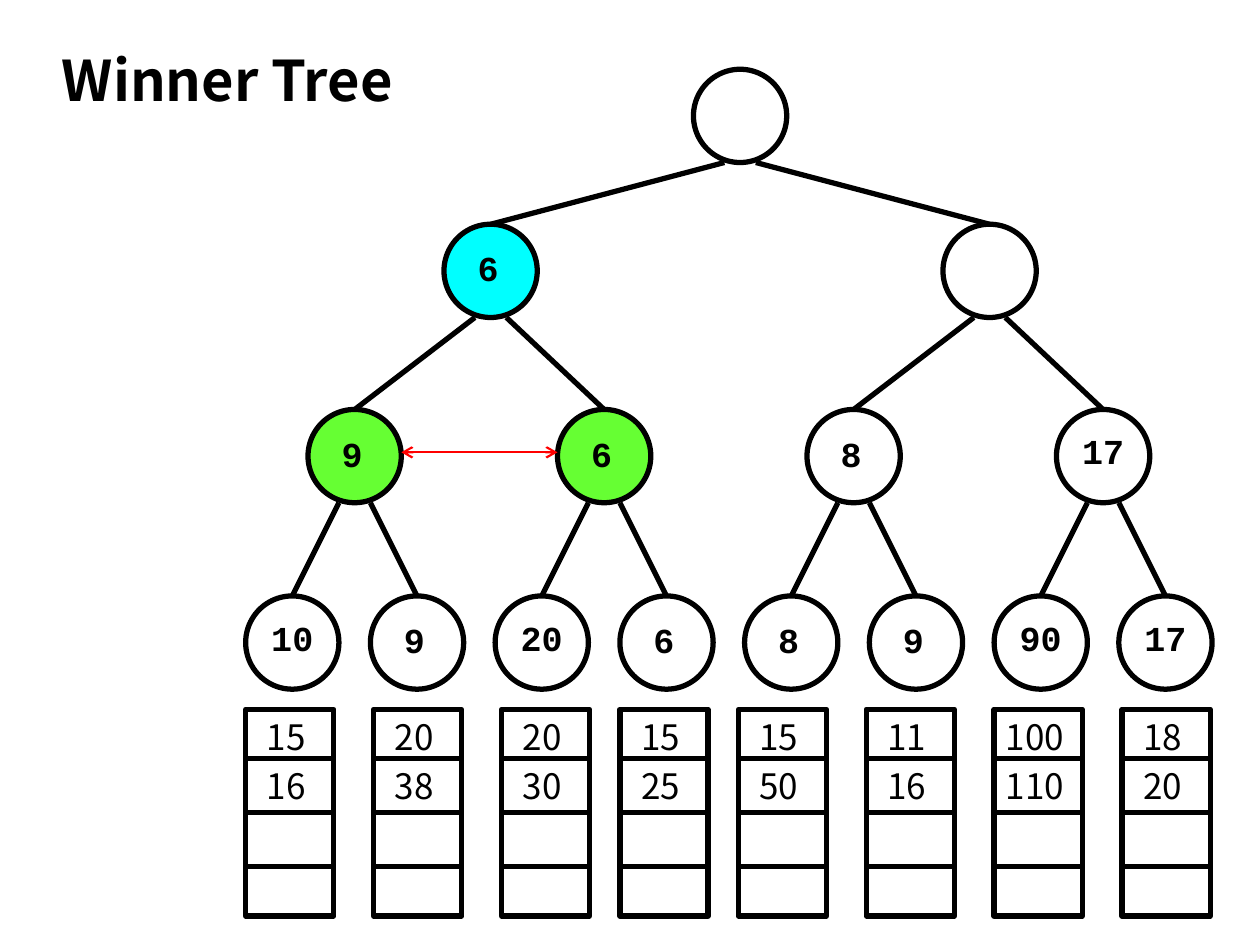
"""Build the Winner Tree slide: a tournament tree above eight sorted runs."""
from itertools import accumulate

from lxml import etree
from pptx import Presentation
from pptx.dml.color import RGBColor
from pptx.enum.shapes import MSO_CONNECTOR, MSO_SHAPE
from pptx.enum.text import MSO_ANCHOR, MSO_AUTO_SIZE, PP_ALIGN
from pptx.oxml.ns import qn
from pptx.util import Inches, Pt

LINE, OVAL, RECT = MSO_CONNECTOR.STRAIGHT, MSO_SHAPE.OVAL, MSO_SHAPE.RECTANGLE
LEFT, CENTER = PP_ALIGN.LEFT, PP_ALIGN.CENTER
GROW, TOP = MSO_AUTO_SIZE.SHAPE_TO_FIT_TEXT, MSO_ANCHOR.TOP

THEME = {
    "ink": "000000", "winner": "00FFFF", "rival": "66FF33", "match": "FF0000",
    "sans": "Noto Sans CJK KR", "mono": "Courier New",
    "title": 32, "body": 20, "stroke": 3, "thin": 1.25,
}
TITLE = "Winner Tree"
LEVELS = [
    {"y": 0.55, "cols": [3.59], "keys": [""]},
    {"y": 1.78, "cols": [1.59, 5.59], "keys": ["6", ""]},
    {"y": 3.25, "cols": [0.5, 2.5, 4.5, 6.5], "keys": ["9", "6", "8", "17"]},
    {"y": 4.73, "cols": range(8),
     "keys": ["10", "9", "20", "6", "8", "9", "90", "17"]},
]
FILLS = {(1, 0): "winner", (2, 0): "rival", (2, 1): "rival"}
RUNS = [("15", "16"), ("20", "38"), ("20", "30"), ("15", "25"),
        ("15", "50"), ("11", "16"), ("100", "110"), ("18", "20")]

X0, COL, NODE, FORK = 1.95, 0.99, 0.74, 0.125
WIDE, NARROW = 1.015, 0.94
RUN_XS = list(accumulate([X0, WIDE, WIDE, NARROW, NARROW, WIDE, WIDE, WIDE]))
RUN_Y, RUN_W, RUN_H = 5.63, 0.7, 1.64
FIRST_ROW, ROW, TEXT_H = 0.39, 0.43, 0.44


def color(name):
    return RGBColor.from_string(THEME[name])


def write(tf, text, size, font, bold=False, align=LEFT):
    tf.word_wrap, tf.auto_size, tf.vertical_anchor = True, GROW, TOP
    p = tf.paragraphs[0]
    p.alignment = align
    r = p.add_run()
    r.text = text
    r.font.name, r.font.size, r.font.bold = THEME[font], Pt(THEME[size]), bold
    r.font.color.rgb = color("ink")


def add_text(s, text, x, y, w, **style):
    box = s.shapes.add_textbox(*map(Inches, (x, y, w, TEXT_H)))
    write(box.text_frame, text, "body", **style)


def add_outline(s, kind, x, y, w, h, fill=None):
    sp = s.shapes.add_shape(kind, *map(Inches, (x, y, w, h)))
    sp.shadow.inherit = False
    if fill:
        sp.fill.solid()
        sp.fill.fore_color.rgb = color(fill)
    else:
        sp.fill.background()
    sp.line.color.rgb, sp.line.width = color("ink"), Pt(THEME["stroke"])
    return sp


def add_line(s, x1, y1, x2, y2, ink="ink", width="stroke"):
    cn = s.shapes.add_connector(LINE, *map(Inches, (x1, y1, x2, y2)))
    cn.line.color.rgb, cn.line.width = color(ink), Pt(THEME[width])
    etree.SubElement(cn._element.spPr, qn("a:effectLst"))
    return cn


def add_node(s, x, y, key, fill):
    node = add_outline(s, OVAL, x, y, NODE, NODE, fill)
    if key:
        w, dx, dy = (0.53, -0.02, 0.13) if len(key) == 1 else (0.7, 0, 0.11)
        add_text(s, key, x + (NODE - w) / 2 + dx, y + dy, w,
                 font="mono", bold=True, align=CENTER)
    return node


def add_tree(s):
    parents = []
    for depth, level in enumerate(LEVELS):
        y, centers = level["y"], []
        for i, (col, key) in enumerate(zip(level["cols"], level["keys"])):
            x = X0 + col * COL
            node = add_node(s, x, y, key, FILLS.get((depth, i)))
            centers.append((x + NODE / 2, y + NODE))
            if parents:
                px, py = parents[i // 2]
                fork = FORK if i % 2 else -FORK
                edge = add_line(s, px + fork, py, x + NODE / 2, y)
                edge.end_connect(node, 0)
        parents = centers


def add_match(s):
    level = LEVELS[2]
    left, right = (X0 + col * COL for col in level["cols"][:2])
    y = level["y"] + NODE / 2 - 0.03
    arrow = add_line(s, left + NODE, y, right, y, "match", "thin")
    for end in ("a:headEnd", "a:tailEnd"):
        etree.SubElement(arrow.line._get_or_add_ln(), qn(end), type="arrow")


def add_run_box(s, x, values):
    add_outline(s, RECT, x, RUN_Y, RUN_W, RUN_H)
    for row in range(3):
        y = RUN_Y + FIRST_ROW + row * ROW
        add_line(s, x, y, x + RUN_W, y)
    for row, value in enumerate(values):
        w = 0.71 if len(value) > 2 else 0.56
        add_text(s, value, x + (RUN_W - w) / 2, RUN_Y + row * FIRST_ROW, w,
                 font="sans")


def main():
    prs = Presentation()
    prs.slide_width, prs.slide_height = Inches(10), Inches(7.5)
    s = prs.slides.add_slide(prs.slide_layouts[5])
    title = s.shapes.title
    title.left, title.top, title.width, title.height = map(
        Inches, (0.39, 0.31, 3.36, 0.64))
    write(title.text_frame, TITLE, "title", "sans", bold=True)
    add_tree(s)
    for x, values in zip(RUN_XS, RUNS):
        add_run_box(s, x, values)
    add_match(s)
    prs.save("out.pptx")


if __name__ == "__main__":
    main()
